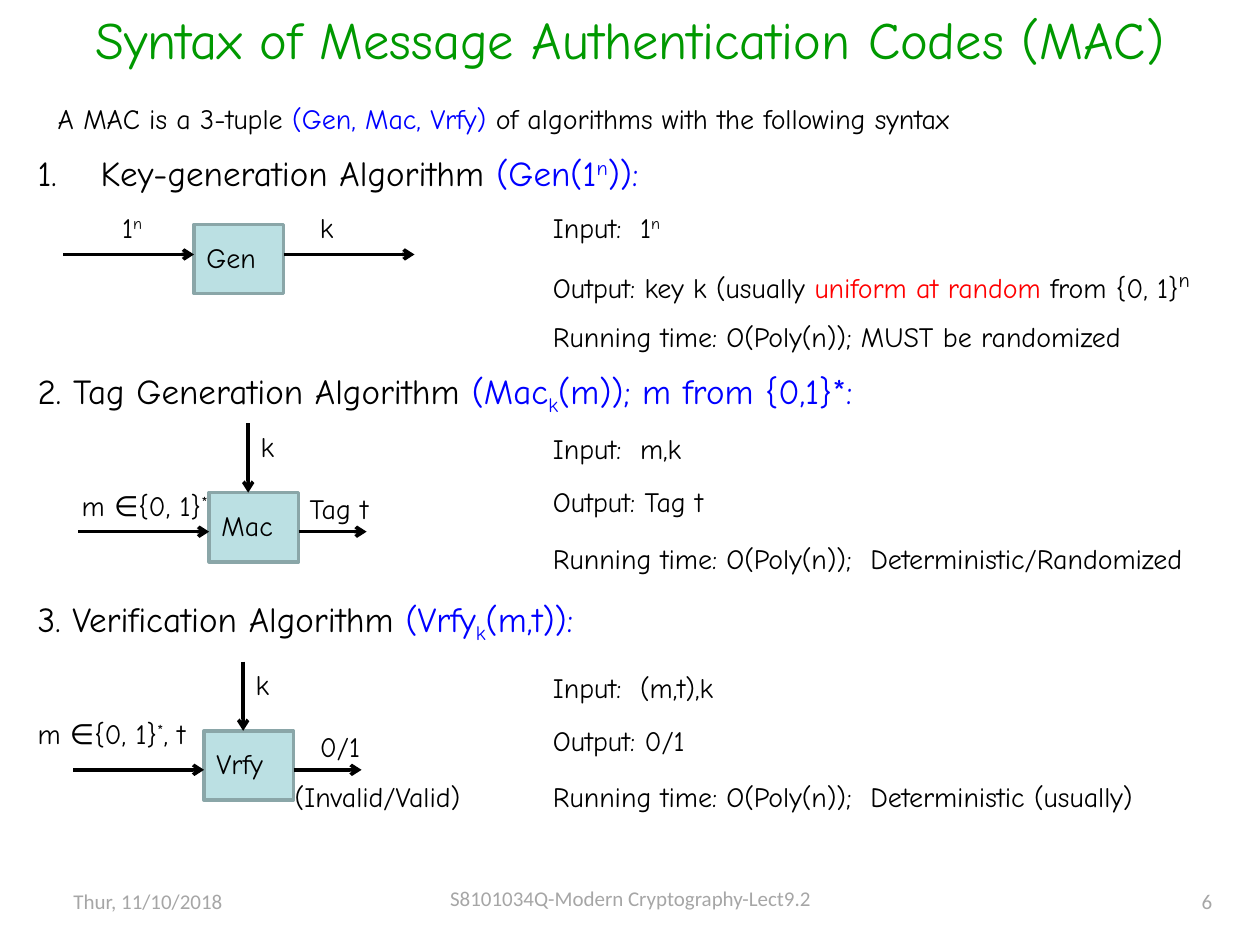
from lxml.etree import SubElement
from pptx import Presentation
from pptx.dml.color import RGBColor
from pptx.enum.shapes import MSO_CONNECTOR, MSO_SHAPE
from pptx.enum.text import PP_ALIGN
from pptx.oxml.ns import qn
from pptx.util import Inches, Pt

COLS, ROWS = 100, 75
SLIDE_W, SLIDE_H = Inches(10), Inches(7.5)
BLACK, BLUE, RED, GREEN, GREY = "000000", "0000FF", "FF0000", "009900", "A6A6A6"
FONT, FOOTER_FONT = "Comic Neue", "Calibri"
SUP, SUB = 30000, -25000
LABEL_H, BLOCK_W, BLOCK_H = 3.7, 7.1, 5.5


def rgb(code):
    """Turn a hex string into a colour."""
    return RGBColor.from_string(code)


def grid(x, y):
    """Turn grid columns and rows into slide lengths."""
    return round(x * SLIDE_W / COLS), round(y * SLIDE_H / ROWS)


def add_text(s, box, runs, size=16, font=FONT, align=PP_ALIGN.LEFT, hang=0, numbered=False):
    """Add a text box whose runs are (text, colour, baseline, size) with optional tails."""
    x, y, w, h = box
    tf = s.shapes.add_textbox(*grid(x, y), *grid(w, h)).text_frame
    tf.word_wrap = True
    p = tf.paragraphs[0]
    p.alignment = align
    if hang:
        pPr = p._p.get_or_add_pPr()
        pPr.set("marL", str(Inches(hang)))
        pPr.set("indent", str(-Inches(hang)))
        if numbered:
            SubElement(pPr, qn("a:buFont"), typeface="+mj-lt")
            SubElement(pPr, qn("a:buAutoNum"), type="arabicPeriod")
    for run in runs:
        text, color, baseline, run_size = (*run, *(None, BLACK, 0, size)[len(run):])
        r = p.add_run()
        r.text = text
        r.font.size = Pt(run_size)
        r.font.name = font
        r.font.color.rgb = rgb(color)
        if baseline:
            r._r.get_or_add_rPr().set("baseline", str(baseline))


def add_arrow(s, start, end):
    """Draw a black arrow between two grid points."""
    line = s.shapes.add_connector(MSO_CONNECTOR.STRAIGHT, *grid(*start), *grid(*end))
    line.line.color.rgb = rgb(BLACK)
    line.line.width = Pt(2)
    SubElement(line.line._get_or_add_ln(), qn("a:tailEnd"), type="arrow")
    SubElement(line._element.spPr, qn("a:effectLst"))


def add_diagram(s, corner, name, axis, out_length, labels, keyed):
    """Draw an algorithm block with its arrows and labels relative to its corner."""
    x, y = corner
    sp = s.shapes.add_shape(MSO_SHAPE.RECTANGLE, *grid(x, y), *grid(BLOCK_W, BLOCK_H))
    sp.shadow.inherit = False
    sp.fill.solid()
    sp.fill.fore_color.rgb = rgb("BBE0E3")
    sp.line.color.rgb = rgb("8AA6A8")
    sp.line.width = Pt(2)
    add_text(s, (x, y + 0.8, 8.6, LABEL_H), [(name,)])
    right = x + BLOCK_W
    add_arrow(s, (x - 10.4, y + axis), (x, y + axis))
    add_arrow(s, (right, y + axis), (right + out_length, y + axis))
    if keyed:
        add_arrow(s, (x + 3.1, y - BLOCK_H), (x + 3.1, y))
        add_text(s, (x + 3.1, y - BLOCK_H, 5.1, LABEL_H), [("k",)])
    for dx, dy, width, runs in labels:
        add_text(s, (x + dx, y + dy, width, LABEL_H), runs)


def add_details(s, corner, lines):
    """Stack the input, output and running time lines."""
    x, y = corner
    for dy, runs in zip((0, 4.2, 8.7), lines):
        add_text(s, (x, y + dy, 56.5, LABEL_H), runs)


def add_section(s, top, heading, numbered, details_top, lines, diagram):
    """Place a heading with its diagram on the left and details on the right."""
    add_text(s, (2, top, 92.9, 4.4), heading, size=20, hang=0.5, numbered=numbered)
    add_diagram(s, **diagram)
    add_details(s, (42.9, details_top), lines)


def add_header(s):
    """Place the title and the introduction."""
    add_text(s, (0, 0.1, 100, 5.1), [("Syntax of Message Authentication Codes (MAC)", GREEN)],
             size=30, align=PP_ALIGN.CENTER)
    add_text(s, (3.6, 7.6, 84.2, LABEL_H), [
        ("A MAC is a 3-tuple ",), ("(Gen, Mac, Vrfy) ", BLUE),
        ("of algorithms with the following syntax",)], hang=0.31)


def add_footer(s):
    """Place the date, course and slide number."""
    for x, y, width, text in ((0.1, 70, 23.3, "Thur, 11/10/2018"),
                              (34.2, 69.8, 31.7, "S8101034Q-Modern Cryptography-Lect9.2"),
                              (93, 70, 5.6, "6")):
        add_text(s, (x, y, width, 2.9), [(text, GREY)], size=12,
                 font=FOOTER_FONT, align=PP_ALIGN.CENTER)


SECTIONS = [
    dict(top=11.5, numbered=True, details_top=16.2,
         heading=[("Key-generation Algorithm ",), ("(Gen(1", BLUE), ("n", BLUE, SUP), (")):", BLUE)],
         lines=[[("Input:  1",), ("n", BLACK, SUP)],
                [("Output: key k (usually ",), ("uniform at random ", RED),
                 ("from {0, 1}",), ("n", BLACK, SUP, 20)],
                [("Running time: O(Poly(n)); MUST be randomized",)]],
         diagram=dict(corner=(15.4, 17.8), name="Gen", axis=2.4, out_length=10.4, keyed=False,
                      labels=[(-6.7, -1.6, 5.1, [("1",), ("n", BLACK, SUP)]),
                              (9, -1.6, 5.1, [("k",)])])),
    dict(top=28.8, numbered=False, details_top=33.8,
         heading=[("2. Tag Generation Algorithm ",), ("(Mac", BLUE), ("k", BLUE, SUB),
                  ("(m)); m from {0,1}*:", BLUE)],
         lines=[[("Input:  m,k",)], [("Output: Tag t",)],
                [("Running time: O(Poly(n));  Deterministic/Randomized",)]],
         diagram=dict(corner=(16.6, 39.1), name="Mac", axis=3.1, out_length=5.4, keyed=True,
                      labels=[(-11.1, -0.8, 12.6, [("m ∈{0, 1}",), ("*", BLACK, SUP)]),
                              (7, -0.6, 16.1, [("Tag t",)])])),
    dict(top=46.9, numbered=False, details_top=52.7,
         heading=[("3. Verification Algorithm ",), ("(Vrfy", BLUE), ("k", BLUE, SUB),
                  ("(m,t)):", BLUE)],
         lines=[[("Input:  (m,t),k",)], [("Output: 0/1",)],
                [("Running time: O(Poly(n));  Deterministic (usually)",)]],
         diagram=dict(corner=(16.2, 58), name="Vrfy", axis=3.1, out_length=5.4, keyed=True,
                      labels=[(-14.2, -1.6, 14.2, [("m ∈{0, 1}",), ("*", BLACK, SUP), (", t",)]),
                              (8.2, -0.6, 16.1, [("0/1",)]),
                              (6.2, 3.4, 18.1, [("(Invalid/Valid)",)])])),
]


def main():
    """Build and save the slide."""
    prs = Presentation()
    prs.slide_width, prs.slide_height = SLIDE_W, SLIDE_H
    s = prs.slides.add_slide(prs.slide_layouts[6])
    add_header(s)
    for section in SECTIONS:
        add_section(s, **section)
    add_footer(s)
    prs.save("out.pptx")


if __name__ == "__main__":
    main()
